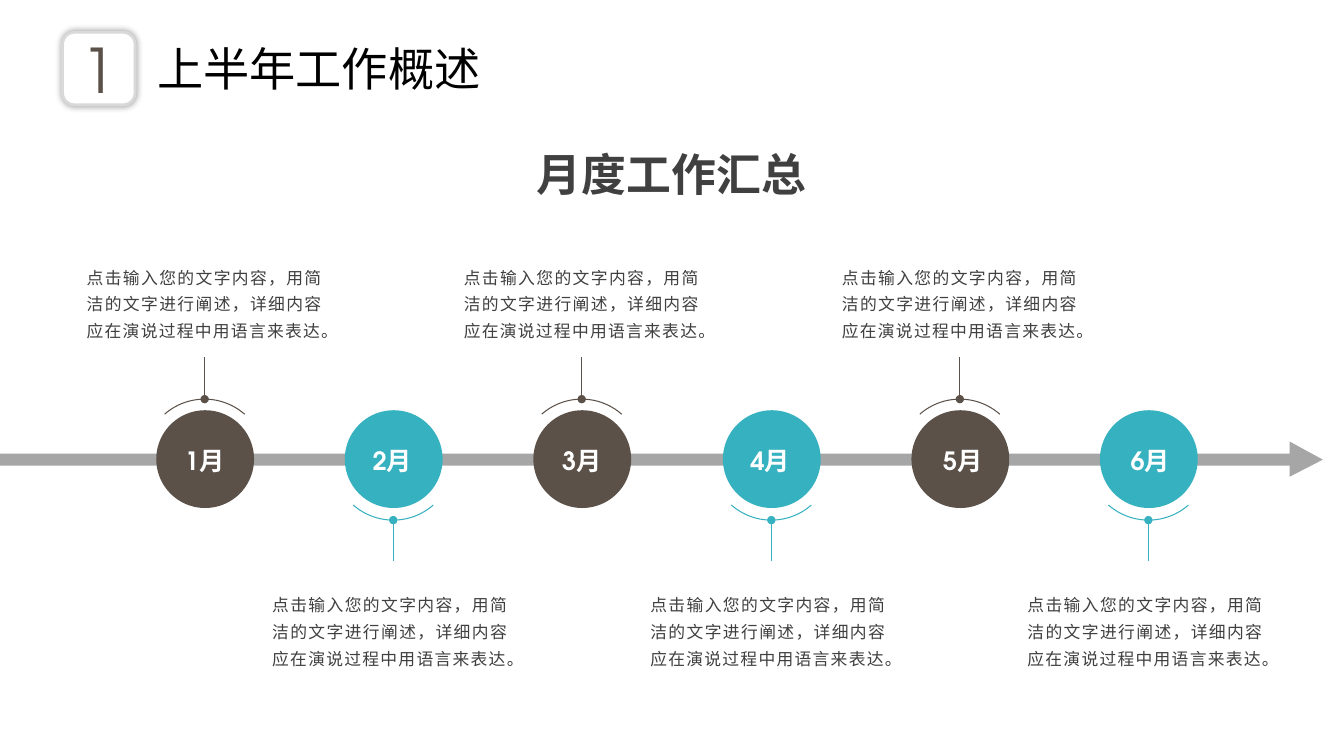
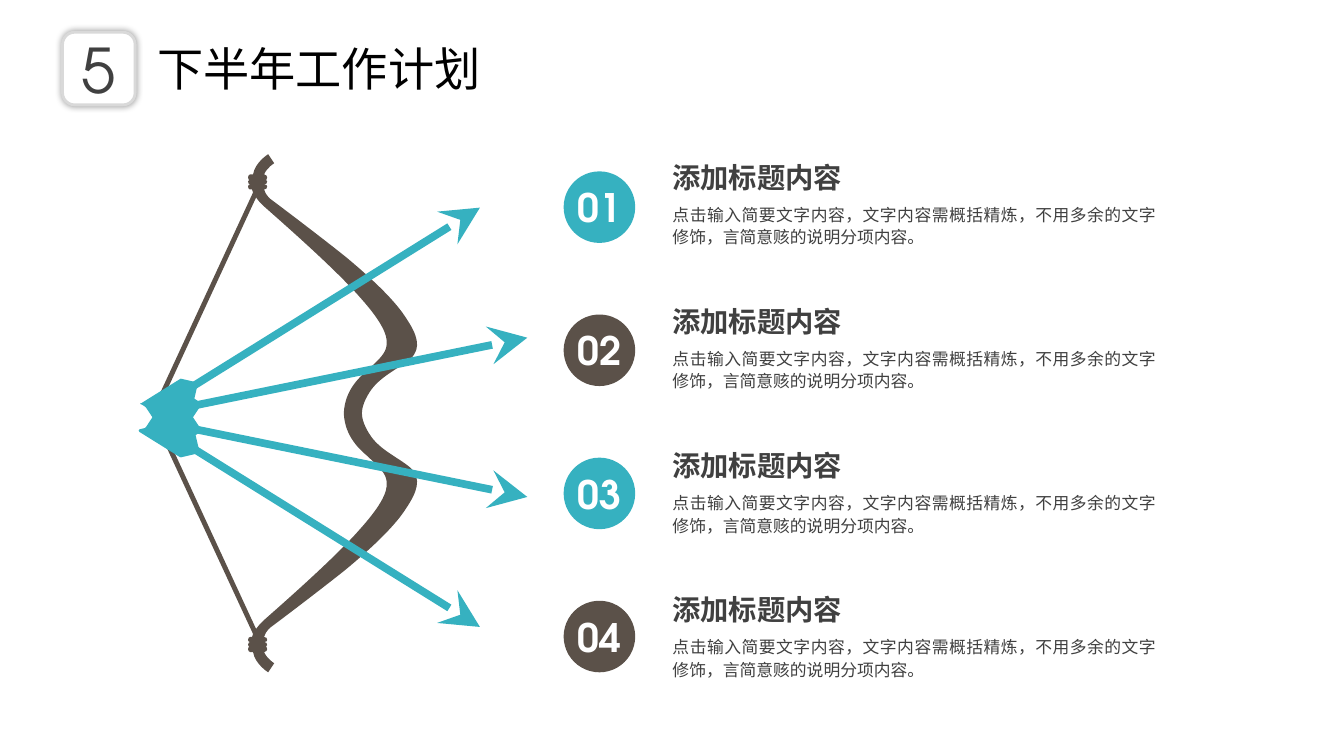
from dataclasses import dataclass

from lxml import etree
from pptx import Presentation
from pptx.dml.color import RGBColor
from pptx.enum.shapes import MSO_CONNECTOR as Link, MSO_SHAPE as Preset
from pptx.enum.text import MSO_ANCHOR as Anchor, PP_ALIGN as Align
from pptx.oxml.ns import qn
from pptx.util import Emu, Pt

PX = 9144  # 100 px to the inch


@dataclass(frozen=True)
class Theme:
    teal: str = "36B1C0"
    brown: str = "5B5149"
    ink: str = "404040"
    black: str = "000000"
    white: str = "FFFFFF"
    axis: str = "A6A6A6"
    border: str = "D9D9D9"
    latin: str = "TeX Gyre Adventor"
    cjk: str = "Noto Sans CJK SC"
    badge_size: float = 44
    title_size: float = 33
    heading_size: float = 32
    number_size: float = 28
    item_size: float = 20.2
    month_size: float = 18
    body_size: float = 12


THEME = Theme()
INSET = (10, 5)

OVERVIEW = {
    "number": "1", "number_color": THEME.brown, "title": "上半年工作概述",
    "heading": "月度工作汇总",
    # Month, left edge and width of its label.
    "months": [("1月", 166, 74), ("2月", 352, 74), ("3月", 540, 74),
               ("4月", 724, 80), ("5月", 914, 82), ("6月", 1101, 80)],
    "text": "点击输入您的文字内容，用简洁的文字进行阐述，详细内容应在演说过程中用语言来表达。",
}
PLAN = {
    "number": "5", "number_color": THEME.ink, "title": "下半年工作计划",
    "items": [(number, "添加标题内容",
               "点击输入简要文字内容，文字内容需概括精炼，不用多余的文字修饰，言简意赅的说明分项内容。")
              for number in ("01", "02", "03", "04")],
}

# In an outline, one point is a line and three points are a Bézier curve.
AXIS_ARROW = [[(1279, 438)], [(1312, 456)], [(1279, 473)], [(1279, 462)],
              [(0, 462)], [(0, 450)], [(1279, 450)]]

# Upper halves of the bow.
BOW_MIDDLE = 410
BOW_OUTSIDE = [
    [(359, 410)],
    [(359, 408), (359, 400), (368, 387)],
    [(378, 373), (395, 366), (407, 356)],
    [(419, 345), (413, 331), (403, 316)],
    [(393, 300), (373, 280), (343, 255)],
    [(313, 231), (269, 198), (269, 198)],
    [(269, 198), (264, 195), (262, 188)],
    [(264, 188), (265, 187), (265, 185)],
    [(265, 184), (264, 183), (262, 183)],
    [(264, 183), (265, 182), (265, 180)],
    [(264, 179)],
    [(264, 178), (265, 177), (265, 176)],
    [(265, 175), (264, 173), (262, 173)],
    [(265, 166), (272, 162), (272, 162)],
    [(266, 153)],
    [(266, 153), (253, 161), (251, 173)],
    [(248, 173)],
    [(247, 173), (246, 175), (246, 176)],
    [(246, 177), (246, 178), (247, 179)],
    [(246, 180)],
    [(246, 182), (247, 183), (248, 183)],
    [(247, 183), (246, 184), (246, 185)],
    [(246, 187), (247, 188), (248, 188)],
    [(250, 188)],
    [(251, 191)],
    [(150, 409)],
]
BOW_INSIDE = [
    [(155, 410)],
    [(254, 196)],
    [(256, 199), (258, 201), (261, 204)],
    [(271, 213), (331, 265), (357, 295)],
    [(384, 325), (385, 337), (383, 345)],
    [(381, 353), (372, 360), (365, 367)],
    [(358, 373), (342, 386), (341, 410)],
]

# Tip, tail, top of the fletching, its angle and the lower fletching's line.
ARROW_MIDDLE = 414
UPPER_ARROWS = [((476, 206), (158, 404), 383, -31.9, THEME.teal),
                ((523, 335), (155, 410), 394, -11.6, None)]


def px(*lengths):
    return [Emu(round(length * PX)) for length in lengths]


def rgb(color):
    return RGBColor.from_string(color)


def write(shape, text, *, size, color, bold=False, font=THEME.latin, align=Align.LEFT,
          anchor=Anchor.TOP, spacing=None, inset=(0, 0), wrap=True):
    frame = shape.text_frame
    frame.word_wrap = wrap
    frame.vertical_anchor = anchor
    side, end = px(*inset)
    frame.margin_left = frame.margin_right = side
    frame.margin_top = frame.margin_bottom = end
    para = frame.paragraphs[0]
    para.alignment = align
    if spacing:
        para.line_spacing = Pt(spacing)
    span = para.add_run()
    span.text = text
    span.font.size, span.font.bold = Pt(size), bold
    span.font.color.rgb = rgb(color)
    span.font.name = font
    etree.SubElement(span.font._element, qn("a:ea"), typeface=THEME.cjk)


def add_text(page, bounds, text, **style):
    write(page.shapes.add_textbox(*px(*bounds)), text, **style)


def paint(shape, fill=None, line=None, width=1):
    shape.shadow.inherit = False
    if fill:
        shape.fill.solid()
        shape.fill.fore_color.rgb = rgb(fill)
    else:
        shape.fill.background()
    if line:
        shape.line.color.rgb = rgb(line)
        shape.line.width = Pt(width)
    else:
        shape.line.fill.background()
    return shape


def add_preset(page, preset, bounds, **look):
    return paint(page.shapes.add_shape(preset, *px(*bounds)), **look)


def add_outline(page, contours, fill):
    """Draw closed contours as one shape; a later contour cuts a hole."""
    builder = None
    for contour in contours:
        start, *rest = [px(*point) for segment in contour for point in segment]
        if builder:
            builder.move_to(*start)
        else:
            builder = page.shapes.build_freeform(*start, scale=1.0)
        builder.add_line_segments(rest, close=True)
    shape = paint(builder.convert_to_shape(), fill=fill)
    steps = iter(list(shape._element.iter(qn("a:lnTo"))))
    for contour in contours:
        for segment in contour[1:]:
            first, *others = [next(steps) for _ in segment]
            if others:
                first.tag = qn("a:cubicBezTo")
                for step in others:
                    first.append(step[0])
                    step.getparent().remove(step)


def add_line(page, start, end, color, width, head, head_size="med"):
    line = page.shapes.add_connector(Link.STRAIGHT, *px(*start, *end))
    line.line.color.rgb = rgb(color)
    line.line.width = Pt(width)
    etree.SubElement(line.line._get_or_add_ln(), qn("a:headEnd"),
                     type=head, w=head_size, len=head_size)
    etree.SubElement(line._element.spPr, qn("a:effectLst"))


def add_glow(shape, color, opacity, blur):
    effects = shape._element.spPr.find(qn("a:effectLst"))
    shadow = etree.SubElement(effects, qn("a:outerShdw"), blurRad=str(Pt(blur)),
                              dist="0", dir="0", algn="ctr", rotWithShape="0")
    tint = etree.SubElement(shadow, qn("a:srgbClr"), val=color)
    etree.SubElement(tint, qn("a:alpha"), val=str(opacity * 1000))


def mirror(point, middle):
    return point[0], 2 * middle - point[1]


def with_mirror(half):
    """Close an upper half with its reflection, walked backwards."""
    points = iter([mirror(point, BOW_MIDDLE)
                   for segment in reversed(half) for point in reversed(segment)])
    lengths = [1] + [len(segment) for segment in reversed(half[1:])]
    return half + [[next(points) for _ in range(length)] for length in lengths]


def add_header(page, content):
    header = page.shapes.add_group_shape()
    add_text(header, (146, 35, 344, 66), content["title"], size=THEME.title_size,
             color=THEME.black, font=THEME.cjk, inset=INSET, wrap=False)
    badge = add_preset(header, Preset.ROUNDED_RECTANGLE, (62, 32, 72, 72),
                       fill=THEME.white, line=THEME.border, width=2)
    add_glow(badge, THEME.black, 40, 5)
    write(badge, content["number"], size=THEME.badge_size, color=content["number_color"],
          align=Align.CENTER, anchor=Anchor.MIDDLE, inset=INSET)


def add_month(page, index, month, label_left, label_width, text):
    center = round(203 + 187.2 * index)
    above = index % 2 == 0
    color = THEME.brown if above else THEME.teal
    add_preset(page, Preset.OVAL, (center - 48, 407, 97, 97), fill=color)
    add_text(page, (label_left, 437, label_width, 40), month, size=THEME.month_size,
             color=THEME.white, bold=True, align=Align.CENTER, inset=INSET)
    marker = page.shapes.add_group_shape()
    arc = add_preset(marker, Preset.ARC, (center - 60, 396, 120, 120), line=color, width=0.75)
    arc.adjustments[0], arc.adjustments[1] = 137.21, 186.89
    arc.rotation = 0 if above else 180
    near, far = (396, 354) if above else (516, 557)
    add_line(marker, (center, near), (center, far), color, 0.75, "oval")
    left, top = (center - 117, 259) if above else (center - 120, 584)
    add_text(page, (left, top, 233, 80), text, size=THEME.body_size, color=THEME.ink,
             align=Align.JUSTIFY, spacing=19)


def build_overview(page, content):
    add_outline(page, [AXIS_ARROW], THEME.axis)
    add_text(page, (435, 141, 462, 64), content["heading"], size=THEME.heading_size,
             color=THEME.ink, bold=True, align=Align.CENTER, inset=INSET)
    for index, month in enumerate(content["months"]):
        add_month(page, index, *month, content["text"])
    add_header(page, content)


def add_arrow(page, tip, tail, top, angle, line=None):
    arrow = page.shapes.add_group_shape()
    add_line(arrow, tip, tail, THEME.teal, 5.5, "stealth", "lg")
    feather = add_preset(arrow, Preset.CHEVRON, (141, top, 60, 25),
                         fill=THEME.teal, line=line, width=2)
    feather.rotation = angle


def build_plan(page, content):
    for index, (number, title, text) in enumerate(content["items"]):
        disc = add_preset(page, Preset.OVAL, (559, 170 + 142 * index, 71, 71),
                          fill=THEME.brown if index % 2 else THEME.teal)
        write(disc, number, size=THEME.number_size, color=THEME.white, bold=True,
              align=Align.CENTER, anchor=Anchor.MIDDLE)
        top = 159 + 143 * index
        add_text(page, (667, top, 186, 34), title, size=THEME.item_size,
                 color=THEME.ink, bold=True)
        add_text(page, (667, top + 42, 480, 45), text, size=THEME.body_size,
                 color=THEME.ink, align=Align.JUSTIFY, spacing=15.9)
    add_outline(page, [with_mirror(half) for half in (BOW_OUTSIDE, BOW_INSIDE)], THEME.brown)
    for tip, tail, top, angle, line in UPPER_ARROWS:
        add_arrow(page, tip, tail, top, angle)
        add_arrow(page, mirror(tip, ARROW_MIDDLE), mirror(tail, ARROW_MIDDLE),
                  2 * ARROW_MIDDLE - top - 25, -angle, line)
    add_header(page, content)


def main():
    deck = Presentation()
    deck.slide_width, deck.slide_height = px(1333, 750)
    for build, content in ((build_overview, OVERVIEW), (build_plan, PLAN)):
        build(deck.slides.add_slide(deck.slide_layouts[6]), content)
    deck.save("out.pptx")


if __name__ == "__main__":
    main()
